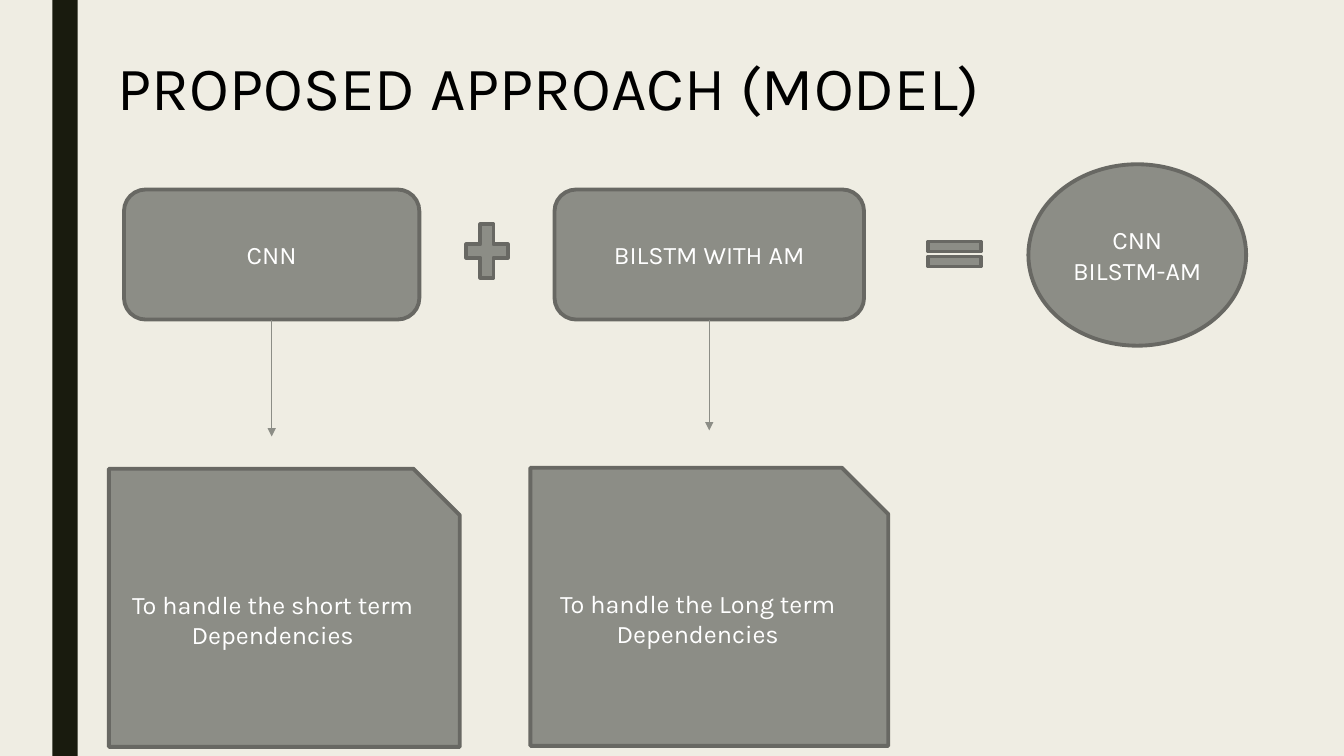
from dataclasses import dataclass

from lxml import etree
from pptx import Presentation
from pptx import util as u
from pptx.dml.color import RGBColor
from pptx.enum import shapes, text
from pptx.oxml import ns

SHAPE = shapes.MSO_SHAPE


@dataclass(frozen=True)
class Theme:
    background: str = "EFEDE3"
    bar: str = "191B0E"
    fill: str = "8C8D86"
    outline: str = "686863"
    title: str = "000000"
    label: str = "FFFFFF"
    font: str = "Karla"
    title_size: float = 44
    label_size: float = 18
    outline_width: float = 2.75
    arrow_width: float = 0.5


THEME = Theme()


def color(value):
    return RGBColor.from_string(value)


def write(s, words, size=THEME.label_size, fill=THEME.label,
          align=text.PP_ALIGN.CENTER, anchor=text.MSO_ANCHOR.MIDDLE, wrap=True):
    tf = s.text_frame
    tf.word_wrap = wrap
    tf.vertical_anchor = anchor
    p = tf.paragraphs[0]
    p.alignment = align
    r = p.add_run()
    r.text = words
    r.font.name = THEME.font
    r.font.size = u.Pt(size)
    r.font.color.rgb = color(fill)


def add_block(slide, kind, box, words=None, fill=THEME.fill, outline=THEME.outline):
    s = slide.shapes.add_shape(kind, *map(u.Inches, box))
    s.shadow.inherit = False
    s.fill.solid()
    s.fill.fore_color.rgb = color(fill)
    if outline:
        s.line.color.rgb = color(outline)
        s.line.width = u.Pt(THEME.outline_width)
    else:
        s.line.fill.background()
    if words:
        write(s, words)
    return s


def add_arrow_below(slide, block, length):
    x = block.left + block.width // 2
    y = block.top + block.height
    arrow = slide.shapes.add_connector(
        shapes.MSO_CONNECTOR.STRAIGHT, x, y, x, y + u.Inches(length))
    arrow.begin_connect(block, 2)
    arrow.line.color.rgb = color(THEME.fill)
    arrow.line.width = u.Pt(THEME.arrow_width)
    etree.SubElement(arrow.line._get_or_add_ln(), ns.qn("a:tailEnd"), type="triangle")
    etree.SubElement(arrow._element.spPr, ns.qn("a:effectLst"))


def add_frame(slide, box):
    """Background and the dark bar along the left edge."""
    left, top, width, height = box
    slide.background.fill.solid()
    slide.background.fill.fore_color.rgb = color(THEME.background)
    add_block(slide, SHAPE.RECTANGLE, (left + 0.52, top, 0.25, height),
              fill=THEME.bar, outline=None)


def add_title(slide, box, words):
    s = slide.shapes.add_textbox(*map(u.Inches, box))
    write(s, words, size=THEME.title_size, fill=THEME.title,
          align=text.PP_ALIGN.LEFT, anchor=text.MSO_ANCHOR.TOP, wrap=False)


def add_equation(slide, box):
    """Two models, their operators and the combined result; returns the models."""
    left, top, width, height = box
    model_top, model_height = top + 0.25, 1.29
    models = [
        add_block(slide, SHAPE.ROUNDED_RECTANGLE,
                  (left + dx, model_top, w, model_height), words)
        for dx, w, words in ((0, 2.93, "CNN"), (4.27, 3.07, "BILSTM WITH AM"))
    ]
    result_width = 2.16
    add_block(slide, SHAPE.OVAL,
              (left + width - result_width, top, result_width, height), "CNN BILSTM-AM")
    add_block(slide, SHAPE.MATH_PLUS, (left + 3.32, top + 0.5, 0.56, 0.72))
    add_block(slide, SHAPE.MATH_EQUAL, (left + 7.88, top + 0.68, 0.71, 0.42))
    return models


def add_purposes(slide, box, models):
    """A note under each model, with an arrow leading down to it."""
    left, top, width, height = box
    notes = (
        (0, 0.01, 3.48, 1.16, "To handle the short term Dependencies"),
        (width - 3.55, 0, 3.55, 1.1, "To handle the Long term Dependencies"),
    )
    for model, (dx, dy, w, length, words) in zip(models, notes):
        add_block(slide, SHAPE.SNIP_1_RECTANGLE, (left + dx, top + dy, w, height), words)
        add_arrow_below(slide, model, length)


def main():
    prs = Presentation()
    prs.slide_width, prs.slide_height = u.Inches(13.33), u.Inches(7.5)
    slide = prs.slides.add_slide(prs.slide_layouts[6])
    add_frame(slide, (0, 0, 13.33, 7.5))
    add_title(slide, (1.07, 0.44, 8.86, 0.84), "PROPOSED APPROACH (MODEL)")
    models = add_equation(slide, (1.23, 1.63, 11.13, 1.8))
    add_purposes(slide, (1.08, 4.64, 7.73, 2.76), models)
    prs.save("out.pptx")


if __name__ == "__main__":
    main()
